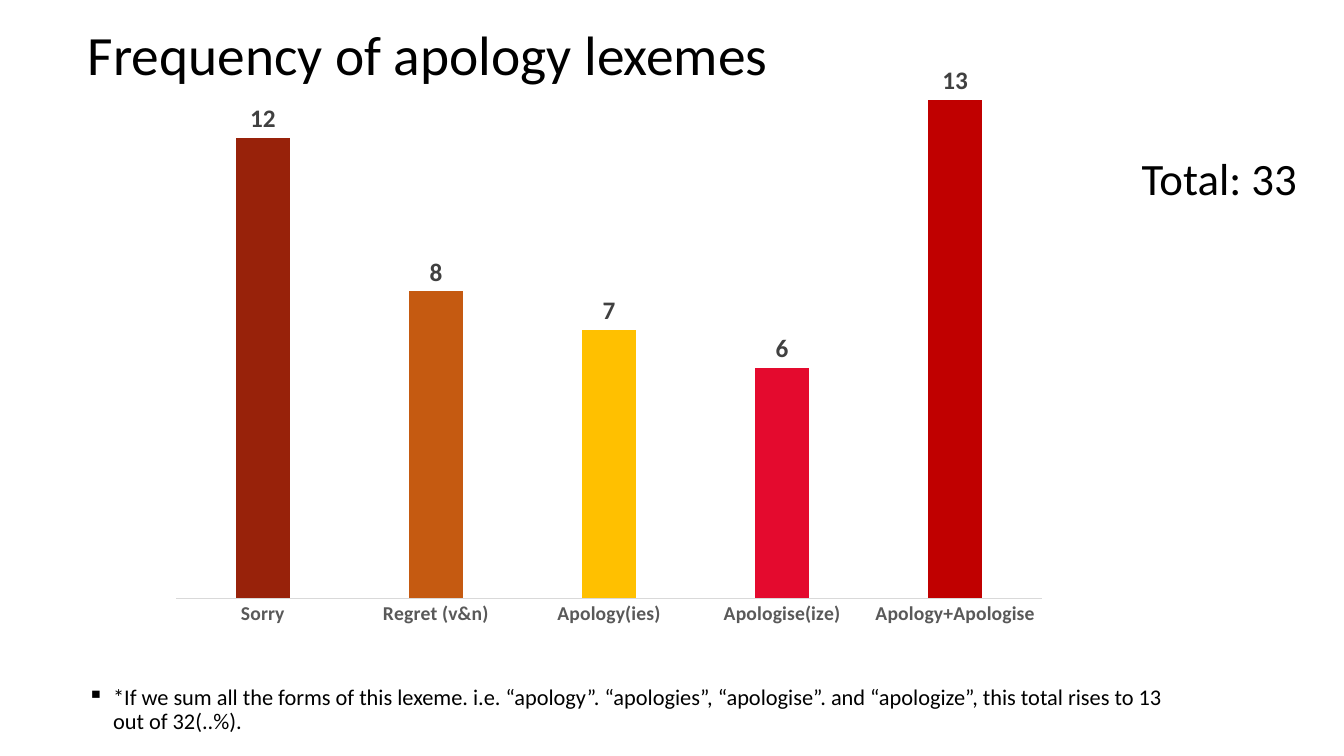
from lxml import etree
from pptx import Presentation
from pptx.chart.data import CategoryChartData
from pptx.dml.color import RGBColor
from pptx.enum import chart as ch, text
from pptx.oxml import ns
from pptx.util import Cm, Pt

FONT = "Calibri"
COLORS = {
    "text": "000000", "label": "404040", "category": "595959", "axis": "D9D9D9",
    "sorry": "98220A", "regret": "C55A11", "apology": "FFC000",
    "apologise": "E40A2E", "sum": "C00000",
}
LEXEMES = [
    ("Sorry", 12, "sorry"),
    ("Regret (v&n)", 8, "regret"),
    ("Apology(ies)", 7, "apology"),
    ("Apologise(ize)", 6, "apologise"),
    ("Apology+Apologise", 13, "sum"),
]
PLOT_AREA = {"x": 0.017, "y": 0, "w": 0.966, "h": 0.898}


def rgb(name):
    return RGBColor.from_string(COLORS[name])


def style_font(font, size, color="text", bold=False):
    font.name, font.size, font.bold = FONT, Pt(size), bold
    font.color.rgb = rgb(color)


def fill_frame(tf, words, size, wrap=True):
    tf.word_wrap = wrap
    tf.auto_size = text.MSO_AUTO_SIZE.NONE
    tf.text = words
    p = tf.paragraphs[0]
    p.alignment = text.PP_ALIGN.LEFT
    style_font(p.runs[0].font, size)
    return p


def add_title(s, x, y, w, h):
    sp = s.shapes.title
    sp.left, sp.top, sp.width, sp.height = x, y, w, h
    tf = sp.text_frame
    tf.vertical_anchor = text.MSO_ANCHOR.BOTTOM
    tf.margin_top = tf.margin_bottom = Cm(0.25)
    fill_frame(tf, "Frequency of apology lexemes", 39.6).line_spacing = 0.9


def add_total(s, x, y, w, h):
    tf = s.shapes.add_textbox(x, y, w, h).text_frame
    fill_frame(tf, "Total: 33", 32, wrap=False)


def add_footnote(s, x, y, w, h):
    tf = s.shapes.add_textbox(x, y, w, h).text_frame
    tf.margin_top = tf.margin_bottom = Cm(0.25)
    p = fill_frame(tf, "*If we sum all the forms of this lexeme. i.e. “apology”. “apologies”, "
                   "“apologise”. and “apologize”, this total rises to 13 out of 32(..%).", 16)
    p.line_spacing = 0.9
    pPr = p._p.get_or_add_pPr()
    indent = Cm(0.64)
    pPr.set("marL", str(indent))
    pPr.set("indent", str(-indent))
    etree.SubElement(pPr, ns.qn("a:buChar")).set("char", "▪")


def fix_plot_area(chart):
    """Pin the inner plot area to fixed fractions of the chart."""
    area = chart._chartSpace.chart.plotArea
    for old in area.findall(ns.qn("c:layout")):
        area.remove(old)
    layout = etree.Element(ns.qn("c:layout"))
    manual = etree.SubElement(layout, ns.qn("c:manualLayout"))
    settings = {"layoutTarget": "inner", "xMode": "edge", "yMode": "edge", **PLOT_AREA}
    for tag, value in settings.items():
        etree.SubElement(manual, ns.qn(f"c:{tag}")).set("val", str(value))
    area.insert(0, layout)


def add_lexeme_chart(s, x, y, w, h):
    names, counts, colors = zip(*LEXEMES)
    data = CategoryChartData()
    data.categories = names
    data.add_series("Series 1", counts)
    chart = s.shapes.add_chart(ch.XL_CHART_TYPE.COLUMN_CLUSTERED, x, y, w, h, data).chart
    chart.has_title = chart.has_legend = False
    style_font(chart.font, 10)
    fix_plot_area(chart)

    axis = chart.category_axis
    axis.major_tick_mark = ch.XL_TICK_MARK.NONE
    axis.format.line.color.rgb = rgb("axis")
    axis.format.line.width = Pt(0.75)
    style_font(axis.tick_labels.font, 14, "category", bold=True)
    values = chart.value_axis
    values.minimum_scale, values.maximum_scale = 0, 14
    values.has_major_gridlines = values.visible = False

    plot = chart.plots[0]
    plot.gap_width, plot.overlap = 219, -27
    plot.vary_by_categories = False
    series = plot.series[0]
    series.format.fill.solid()
    series.format.fill.fore_color.rgb = rgb(colors[0])
    for i, color in enumerate(colors):
        fill = series.points[i].format.fill
        fill.solid()
        fill.fore_color.rgb = rgb(color)
    labels = series.data_labels
    labels.show_value = True
    labels.position = ch.XL_LABEL_POSITION.OUTSIDE_END
    style_font(labels.font, 18, "label", bold=True)


def main():
    prs = Presentation()
    prs.slide_width, prs.slide_height = Cm(33.87), Cm(19.05)
    s = prs.slides.add_slide(prs.slide_layouts[5])
    left, width = Cm(1.96), Cm(27.76)
    add_title(s, left, Cm(0.43), width, Cm(2.03))
    add_footnote(s, left, Cm(17.04), width, Cm(1.75))
    add_total(s, Cm(28.52), Cm(3.68), Cm(4.47), Cm(1.63))
    add_lexeme_chart(s, Cm(4.06), Cm(1.55), Cm(22.58), Cm(15.06))
    prs.save("out.pptx")


if __name__ == "__main__":
    main()
